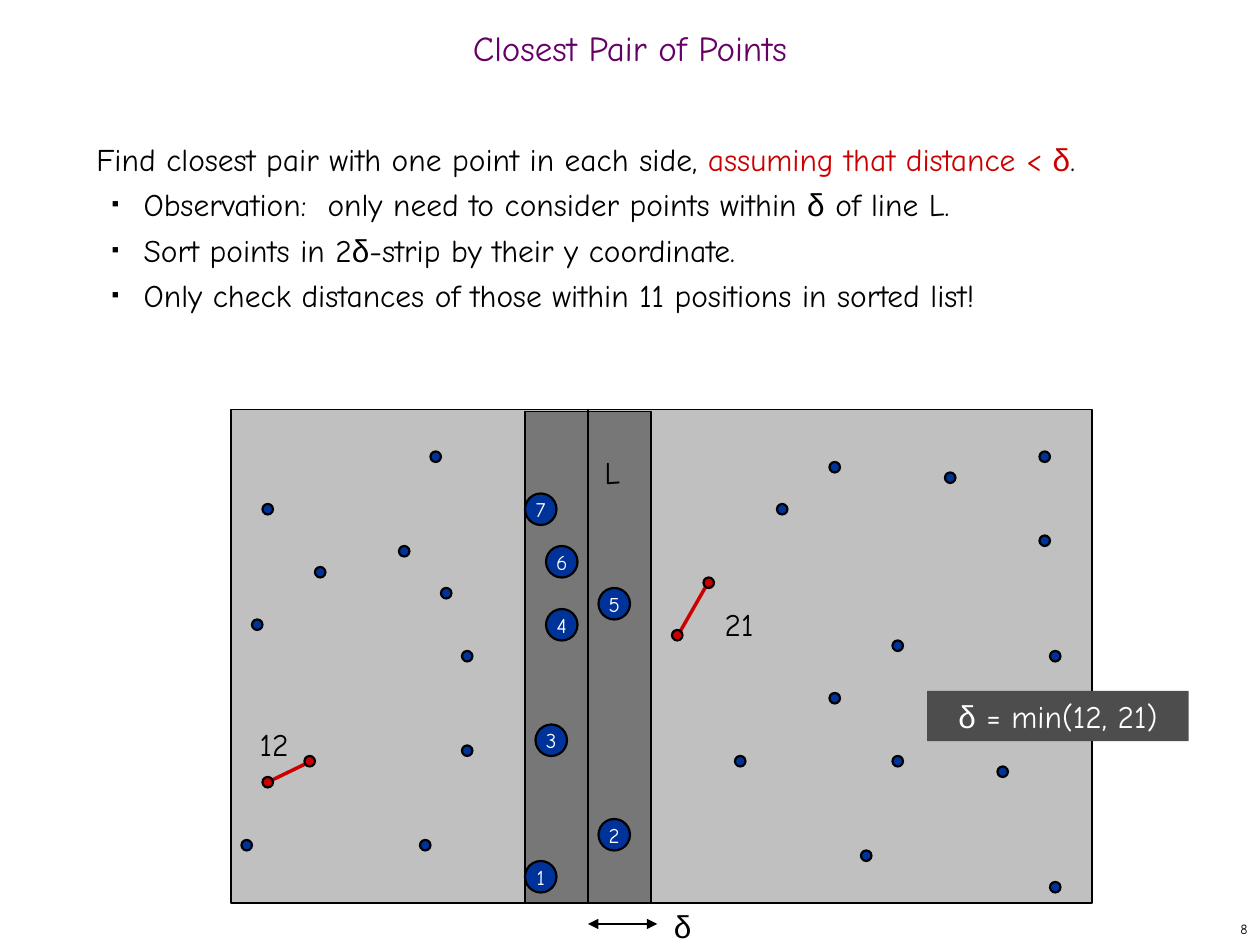
"""Build the closest-pair-of-points slide with its strip diagram."""
import lxml.etree
import pptx
import pptx.dml.color
import pptx.enum.shapes
import pptx.enum.text
import pptx.oxml.ns
import pptx.util

SHAPE = pptx.enum.shapes.MSO_SHAPE
ALIGN = pptx.enum.text.PP_ALIGN
ANCHOR = pptx.enum.text.MSO_ANCHOR
RGB = pptx.dml.color.RGBColor.from_string
Pt = pptx.util.Pt
qn = pptx.oxml.ns.qn

theme = {
    "font": "Comic Neue", "greek": "Arial",
    "ink": "000000", "paper": "FFFFFF", "title": "660066", "accent": "CC0000",
    "point": "003399", "region": "C0C0C0", "strip": "777777", "callout": "4D4D4D",
    "title size": 20, "body size": 18, "rank size": 12, "page size": 8,
}

deck = pptx.Presentation()
deck.slide_width, deck.slide_height = pptx.util.Inches(10), pptx.util.Inches(7.5)
slide = deck.slides.add_slide(deck.slide_layouts[6])
shapes = slide.shapes
cell = deck.slide_width / 120


def add_box(kind, col, row, cols, rows, fill=None, outline=None):
    """Place a shape, or a text box when kind is None, on the grid."""
    place = [round(n * cell) for n in (col, row, cols, rows)]
    if kind is None:
        return shapes.add_textbox(*place)
    box = shapes.add_shape(kind, *place)
    box.shadow.inherit = False
    box.fill.solid()
    box.fill.fore_color.rgb = RGB(theme[fill])
    if outline:
        box.line.color.rgb = RGB(theme["ink"])
        box.line.width = Pt(outline)
    else:
        box.line.fill.background()
    return box


def write(box, lines, size, frame_format, line_format):
    """Fill a box with lines of (text, colour) spans, setting δ in its own font."""
    for key, value in frame_format.items():
        setattr(box.text_frame, key, value)
    for number, spans in enumerate(lines):
        line = box.text_frame.add_paragraph() if number else box.text_frame.paragraphs[0]
        for key, value in line_format.items():
            setattr(line, key, value)
        for text, colour in spans:
            for piece in filter(None, text.replace("δ", "|δ|").split("|")):
                run = line.add_run()
                run.text = piece
                run.font.name = theme["greek" if piece == "δ" else "font"]
                run.font.size = Pt(theme[size])
                run.font.color.rgb = RGB(theme[colour])


label_frame = {"word_wrap": True, "auto_size": pptx.enum.text.MSO_AUTO_SIZE.SHAPE_TO_FIT_TEXT}
label_line = {"alignment": ALIGN.CENTER, "space_before": Pt(11.2)}
middle_frame = {"word_wrap": True, "vertical_anchor": ANCHOR.MIDDLE}

region = add_box(SHAPE.RECTANGLE, 22, 39, 82, 47, "region", 1)
strip = add_box(SHAPE.RECTANGLE, 50, 39.2, 12, 46.8, "strip", 1)

points = [
    (30, 54), (44, 71), (25, 48), (38, 52), (41, 43), (42, 56), (74, 48), (100, 84),
    (79, 44), (85, 61), (24, 59), (44, 62), (23, 80), (40, 80), (99, 51), (90, 45),
    (70, 72), (99, 43), (79, 66), (82, 81), (100, 62), (85, 72), (95, 73),
]
for col, row in points:
    add_box(SHAPE.OVAL, col, row, 1, 1, "point", 1.25)

segments = [
    ((56, 39), (56, 86), "ink", 1, False),
    ((29.2, 72.7), (25.9, 74.3), "accent", 2, False),
    ((67.2, 55.9), (64.8, 60.1), "accent", 2, False),
    ((56, 88), (62.6, 88), "ink", 0.75, True),
]
for start, end, colour, width, arrows in segments:
    ends = [round(n * cell) for n in start + end]
    segment = shapes.add_connector(pptx.enum.shapes.MSO_CONNECTOR.STRAIGHT, *ends)
    segment.line.color.rgb = RGB(theme[colour])
    segment.line.width = Pt(width)
    if end == (56, 86):
        segment.end_connect(strip, 2)
    if arrows:
        outline = segment.line._get_or_add_ln()
        for tip in ("a:headEnd", "a:tailEnd"):
            lxml.etree.SubElement(outline, qn(tip), type="triangle")
    lxml.etree.SubElement(segment._element.spPr, qn("a:effectLst"))

for col, row in [(25, 74), (29, 72), (67, 55), (64, 60)]:
    add_box(SHAPE.OVAL, col, row, 1, 1, "accent", 1.25)

ranked = [(50, 82), (57, 78), (51, 69), (52, 58), (57, 56), (52, 52), (50, 47)]
for rank, (col, row) in enumerate(ranked, 1):
    disc = add_box(SHAPE.OVAL, col, row, 3, 3, "point", 1.25)
    write(disc, [[(str(rank), "paper")]], "rank size",
          {"word_wrap": False, "vertical_anchor": ANCHOR.MIDDLE}, {"alignment": ALIGN.CENTER})

labels = [("12", 22.8, 68.5, 6.6), ("21", 67.1, 57, 6.6), ("L", 55, 42.6, 6.6), ("δ", 63, 85.8, 4)]
for text, col, row, cols in labels:
    label = add_box(None, col, row, cols, 4.8)
    write(label, [[(text, "ink")]], "body size", label_frame, label_line)

heading = add_box(None, 0, 2, 120, 6)
write(heading, [[("Closest Pair of Points", "title")]], "title size", middle_frame,
      {"alignment": ALIGN.CENTER, "line_spacing": 0.7})

body = add_box(None, 8, 12, 103, 26)
body_lines = [
    [("Find closest pair with one point in each side, ", "ink"),
     ("assuming that distance < δ", "accent"), (".", "ink")],
    [("Observation:  only need to consider points within δ of line L.", "ink")],
    [("Sort points in 2δ-strip by their y coordinate.", "ink")],
    [("Only check distances of those within 11 positions in sorted list!", "ink")],
]
write(body, body_lines, "body size", {"word_wrap": True}, {"line_spacing": Pt(26)})
for item in body.text_frame.paragraphs[1:]:
    item.level = 1
    layout = item._p.get_or_add_pPr()
    layout.set("marL", str(round(4.5 * cell)))
    layout.set("indent", str(round(-3 * cell)))
    bullet_colour = lxml.etree.SubElement(layout, qn("a:buClr"))
    lxml.etree.SubElement(bullet_colour, qn("a:srgbClr"), val=theme["ink"])
    lxml.etree.SubElement(layout, qn("a:buSzPct"), val="35000")
    lxml.etree.SubElement(layout, qn("a:buFont"), typeface=theme["greek"])
    lxml.etree.SubElement(layout, qn("a:buChar"), char="■")

callout = add_box(SHAPE.RECTANGLE, 88.3, 65.8, 24.9, 4.8, "callout")
write(callout, [[("δ = min(12, 21)", "paper")]], "body size",
      {**label_frame, "vertical_anchor": ANCHOR.TOP}, label_line)

page = add_box(None, 95, 87, 25, 3)
write(page, [[("8", "ink")]], "page size", middle_frame, {"alignment": ALIGN.RIGHT})

deck.save("out.pptx")
